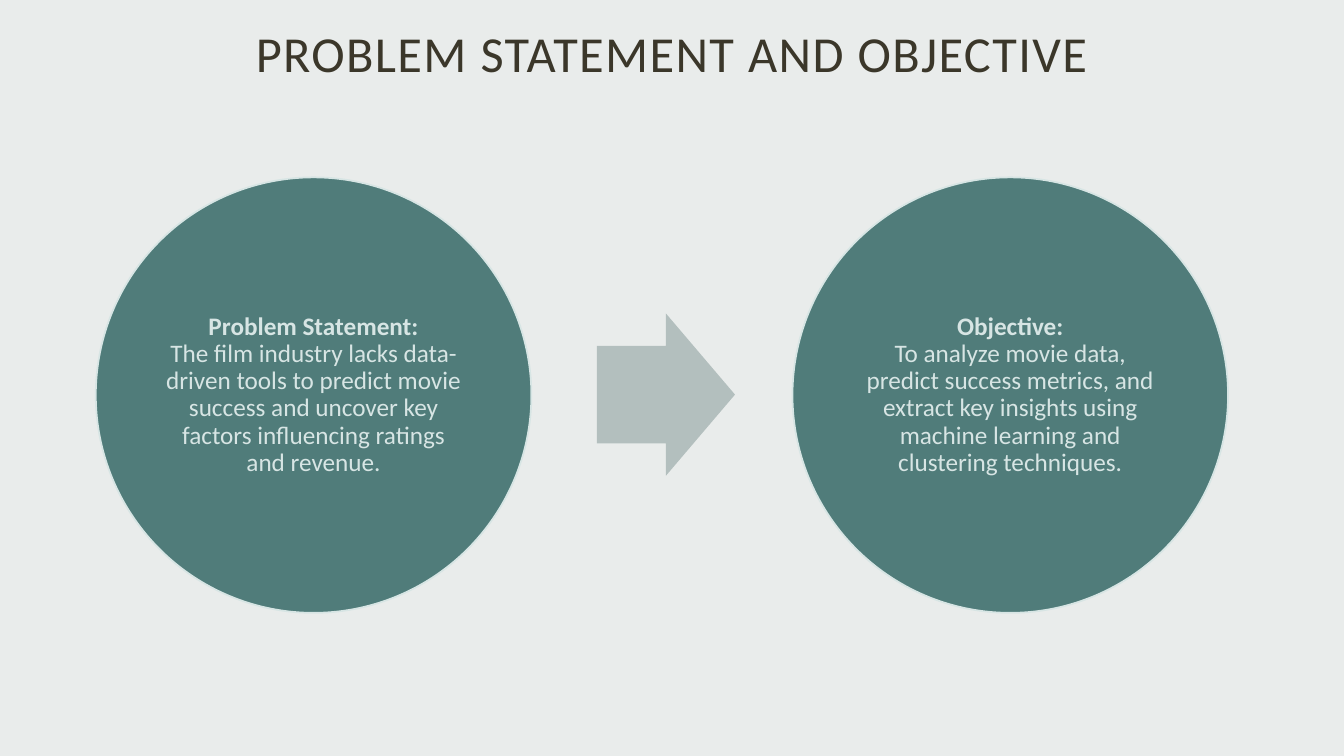
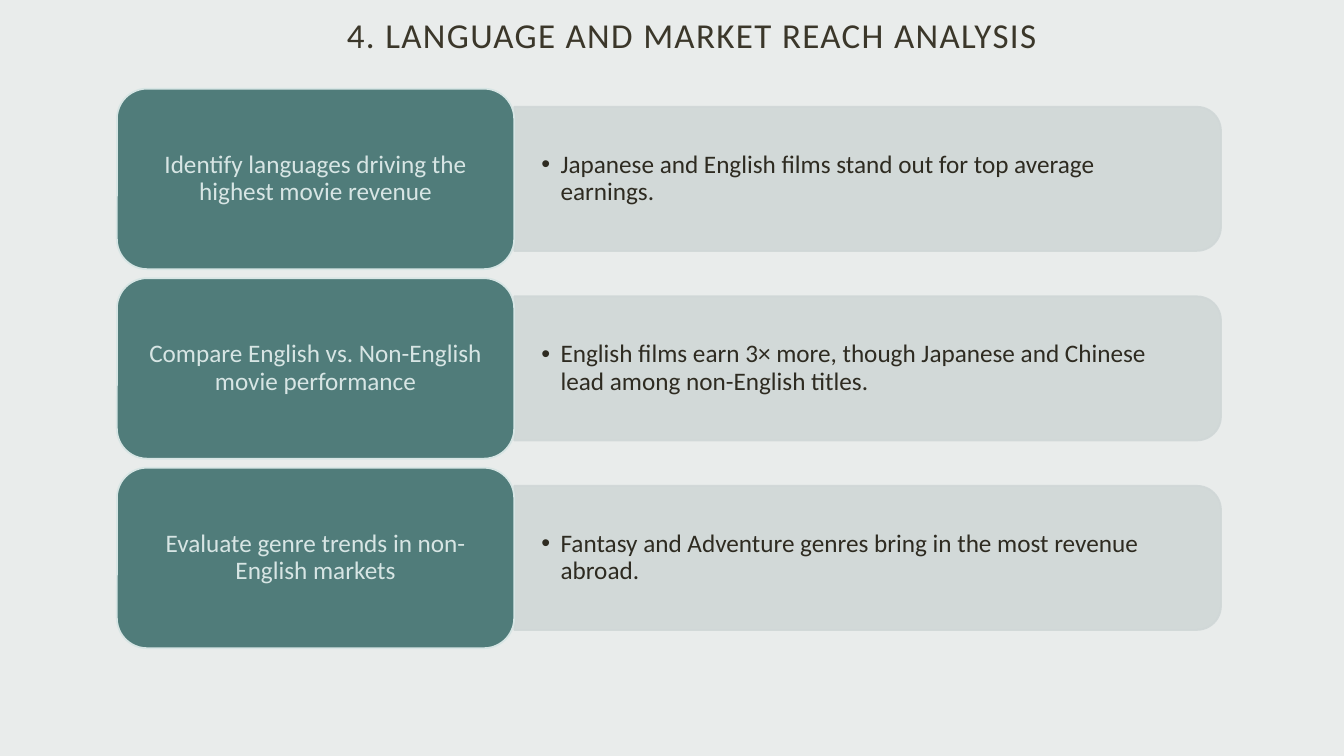
from pptx import Presentation
from pptx.dml.color import RGBColor
from pptx.enum.shapes import MSO_SHAPE
from pptx.enum.text import MSO_ANCHOR, MSO_AUTO_SIZE, PP_ALIGN
from pptx.oxml.ns import qn
from pptx.util import Inches, Pt
from lxml.etree import SubElement

COLORS = {
    "background": "E9ECEB",
    "title": "3B372A",
    "teal": "507C7A",
    "pale": "D7E5E4",
    "arrow": "B3BFBE",
    "panel": "D0D7D7",
    "ink": "2E2B21",
}
FONT = "Calibri"
TITLE_ONLY = 5


def color(name):
    return RGBColor.from_string(COLORS[name])


def write(para, text, size=18, tint="ink", bold=False, tracking=None):
    """Add one formatted run to a paragraph."""
    span = para.add_run()
    span.text = text
    span.font.name = FONT
    span.font.size = Pt(size)
    span.font.bold = bold
    span.font.color.rgb = color(tint)
    if tracking:
        span._r.get_or_add_rPr().set("spc", str(tracking * 100))


def prepare(holder, inset_x, inset_y, align=PP_ALIGN.CENTER, spacing=0.9):
    """Set up a text frame and return its first paragraph."""
    frame = holder.text_frame
    frame.word_wrap = True
    frame.auto_size = MSO_AUTO_SIZE.NONE
    frame.vertical_anchor = MSO_ANCHOR.MIDDLE
    frame.margin_left = frame.margin_right = Inches(inset_x)
    frame.margin_top = frame.margin_bottom = Inches(inset_y)
    para = frame.paragraphs[0]
    para.alignment = align
    para.line_spacing = spacing
    return para


def add_bullet(para, indent):
    properties = para._p.get_or_add_pPr()
    properties.set("marL", str(Inches(indent)))
    properties.set("indent", str(-Inches(indent)))
    SubElement(properties, qn("a:buFont"), typeface="Arial")
    SubElement(properties, qn("a:buChar"), char="•")


def add_block(slide, kind, box, fill, line=None, opacity=None):
    """Add a filled preset shape; opacity is a percentage."""
    shape = slide.shapes.add_shape(kind, *map(Inches, box))
    shape.shadow.inherit = False
    shape.fill.solid()
    shape.fill.fore_color.rgb = color(fill)
    if line:
        shape.line.color.rgb = color(line)
        shape.line.width = Pt(1.25)
    else:
        shape.line.fill.background()
    if opacity:
        for node in shape._element.spPr.iter(qn("a:srgbClr")):
            SubElement(node, qn("a:alpha"), val=str(opacity * 1000))
    return shape


def add_titled_slide(deck, title, box, size):
    slide = deck.slides.add_slide(deck.slide_layouts[TITLE_ONLY])
    holder = slide.shapes.title
    holder.left, holder.top, holder.width, holder.height = map(Inches, box)
    para = prepare(holder, 0.1, 0.05, spacing=0.8)
    write(para, title, size=size, tint="title", tracking=1)
    return slide


def add_circle(slide, box, heading, body):
    circle = add_block(slide, MSO_SHAPE.OVAL, box, "teal", "pale")
    para = prepare(circle, 0.03, 0.03)
    write(para, heading, tint="pale", bold=True)
    para.add_line_break()
    write(para, body, tint="pale")


def add_row(slide, box, goal, finding):
    """A goal card with a finding panel attached to its right side."""
    left, top, width, height = box
    card_width, bar_height = 3.94, 1.43
    bar_left, bar_width = left + card_width, width - card_width
    middle = top + height / 2

    # Panel: a quarter turn puts the rounded corners on the right
    bar_box = (bar_left + (bar_width - bar_height) / 2, middle - bar_width / 2,
               bar_height, bar_width)
    bar = add_block(slide, MSO_SHAPE.ROUND_2_SAME_RECTANGLE, bar_box,
                    "panel", "panel", opacity=90)
    bar.rotation = 90

    # Finding, kept upright over the turned panel
    note_box = (bar_left, middle - 0.65, bar_width - 0.07, 1.3)
    note = slide.shapes.add_textbox(*map(Inches, note_box))
    para = prepare(note, 0.27, 0.14, align=PP_ALIGN.LEFT)
    add_bullet(para, 0.19)
    write(para, finding)

    # Goal card
    card = add_block(slide, MSO_SHAPE.ROUNDED_RECTANGLE,
                     (left, top, card_width, height), "teal", "pale")
    write(prepare(card, 0.07, 0.04), goal, tint="pale")


def build_problem_slide(deck):
    slide = add_titled_slide(deck, "PROBLEM STATEMENT AND OBJECTIVE",
                             (0, 0, 13.33, 1.15), 36)
    top, diameter = 1.76, 4.32
    circles = [
        (0.95, "Problem Statement:",
         "The film industry lacks data-driven tools to predict movie success "
         "and uncover key factors influencing ratings and revenue."),
        (7.86, "Objective:",
         "To analyze movie data, predict success metrics, and extract key "
         "insights using machine learning and clustering techniques."),
    ]
    for left, heading, body in circles:
        add_circle(slide, (left, top, diameter, diameter), heading, body)
    arrow = add_block(slide, MSO_SHAPE.RIGHT_ARROW,
                      (5.92, 3.11, 1.37, 1.61), "arrow")
    arrow.adjustments[0] = 0.6
    arrow.adjustments[1] = 0.5


def build_market_slide(deck):
    slide = add_titled_slide(deck, "4. LANGUAGE AND MARKET REACH ANALYSIS",
                             (1.16, 0.06, 11.41, 0.65), 25)
    rows = [
        ("Identify languages driving the highest movie revenue",
         "Japanese and English films stand out for top average earnings."),
        ("Compare English vs. Non-English movie performance",
         "English films earn 3× more, though Japanese and Chinese lead among "
         "non-English titles."),
        ("Evaluate genre trends in non-English markets",
         "Fantasy and Adventure genres bring in the most revenue abroad."),
    ]
    height, gap = 1.79, 0.09
    for index, (goal, finding) in enumerate(rows):
        top = 0.88 + index * (height + gap)
        add_row(slide, (1.16, top, 10.95, height), goal, finding)


def main():
    deck = Presentation()
    deck.slide_width, deck.slide_height = Inches(13.33), Inches(7.5)
    backdrop = deck.slide_master.background.fill
    backdrop.solid()
    backdrop.fore_color.rgb = color("background")
    build_problem_slide(deck)
    build_market_slide(deck)
    deck.save("out.pptx")


if __name__ == "__main__":
    main()
